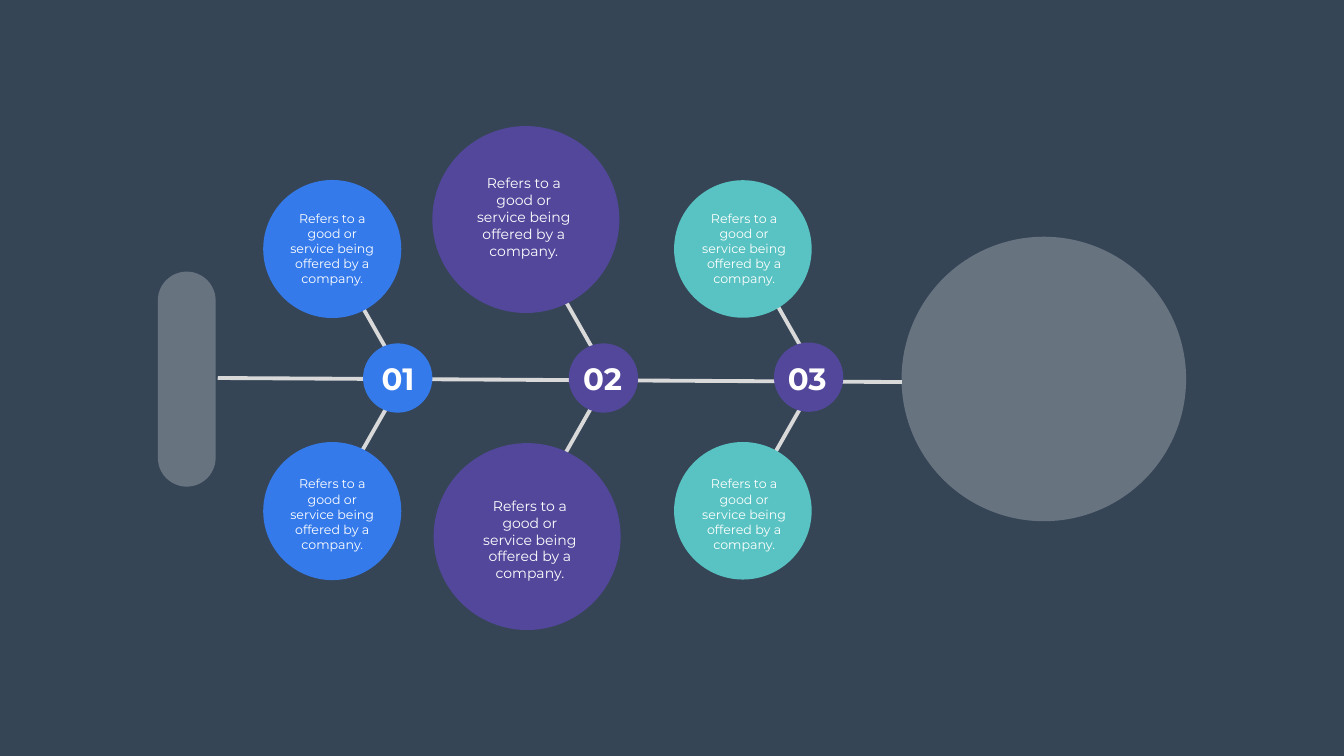
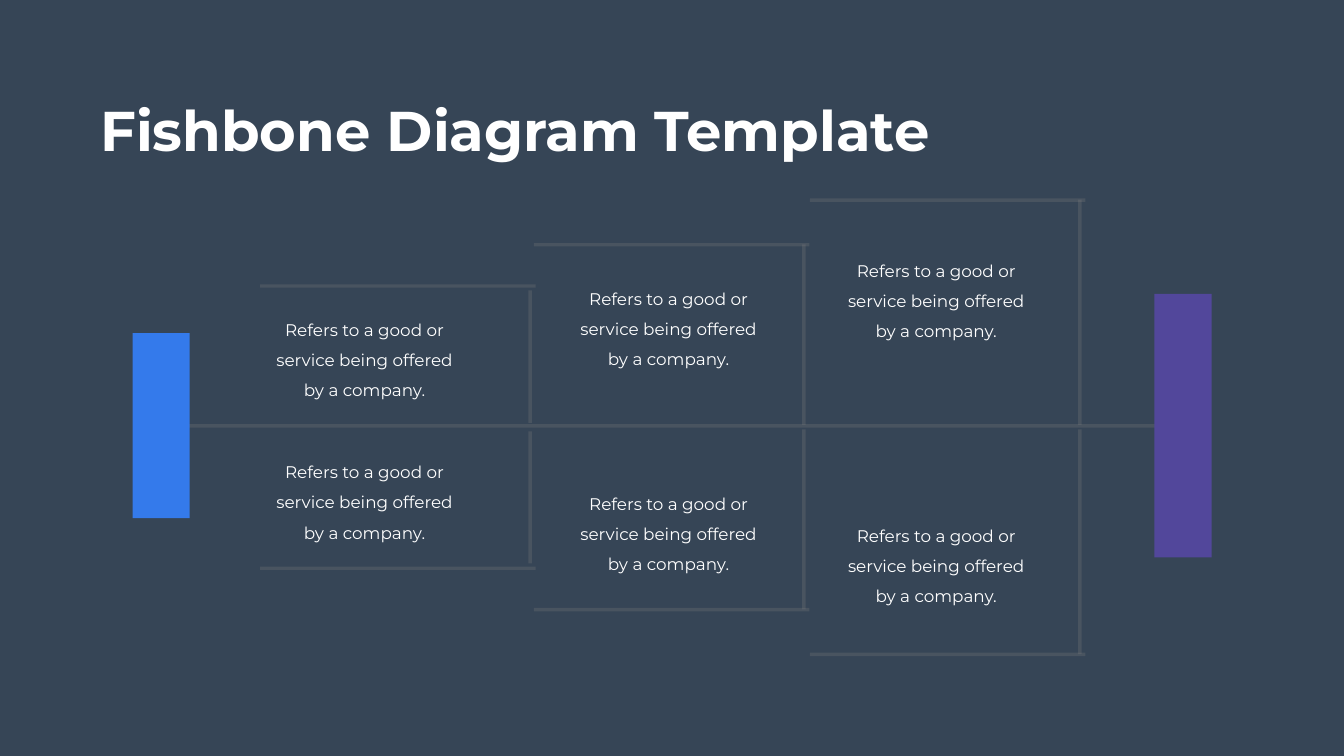
from lxml import etree
from pptx import Presentation
from pptx.dml.color import RGBColor
from pptx.enum.shapes import MSO_CONNECTOR, MSO_SHAPE
from pptx.enum.text import MSO_AUTO_SIZE, PP_ALIGN
from pptx.oxml.ns import qn
from pptx.util import Pt

OVAL, RECT, PILL = MSO_SHAPE.OVAL, MSO_SHAPE.RECTANGLE, MSO_SHAPE.ROUNDED_RECTANGLE
STRAIGHT = MSO_CONNECTOR.STRAIGHT
LEFT, CENTER = PP_ALIGN.LEFT, PP_ALIGN.CENTER
FIT = MSO_AUTO_SIZE.SHAPE_TO_FIT_TEXT

FONT = "Montserrat"
COLORS = {
    "back": "364556", "white": "FFFFFF", "bone": "D9D9D9", "grey": "808080",
    "blue": "347AEB", "purple": "52479B", "teal": "58C3C2",
}

# Content
TITLE = "Fishbone Diagram Template"
CAPTION = "Refers to a good or service being offered by a company."

# Fish with bubbles: bone is the left end and middle height of a chevron,
# node is a centre, bubbles are (centre x, centre y, caption left, caption top)
BONE_W, BONE_H, NODE_D = 129.4, 227.6, 99
LABEL_X, LABEL_STEP = 511.2, 292.3
RIBS = [
    {"label": "01", "bone": (446.4, 540.9), "node": (568, 540), "node_color": "blue",
     "color": "blue", "d": 197.2, "size": 18, "caption_h": 126,
     "bubbles": [(474.5, 355.7, 389.5, 292.3), (474.5, 730.1, 389.5, 671.8)]},
    {"label": "02", "bone": (740, 538.6), "node": (861.8, 540), "node_color": "purple",
     "color": "purple", "d": 267, "size": 20, "caption_h": 138.2,
     "bubbles": [(751, 313.6, 663.1, 241.2), (752.8, 766.5, 671.8, 702)]},
    {"label": "03", "bone": (1039, 538.6), "node": (1154.9, 538.8), "node_color": "purple",
     "color": "teal", "d": 196.5, "size": 18, "caption_h": 126,
     "bubbles": [(1061, 355.7, 977.8, 292.3), (1061, 729.7, 977.8, 671.8)]},
]

# Flags along an axis: each side is (y near axis, y of upright end,
# y of flag, caption top)
AXIS_Y, FLAG_W, FLAG_OVERHANG = 608.4, 393.4, 7.9
FLAGS = [
    {"x": 757.1, "caption_x": 371.5,
     "sides": [(604.1, 414.7, 408.6, 434.2), (616.3, 805, 811.8, 637.2)]},
    {"x": 1148, "caption_x": 805.7,
     "sides": [(607, 349.2, 349.6, 389.5), (613.4, 870.5, 870.8, 681.8)]},
    {"x": 1542.2, "caption_x": 1188,
     "sides": [(607, 285.1, 285.8, 349.2), (613.4, 934.6, 934.9, 727.9)]},
]


def rgb(name):
    return RGBColor.from_string(COLORS[name])


def set_alpha(fill_xml, percent):
    """Make the solid colour inside an element partly transparent."""
    color = next(fill_xml.iter(qn("a:srgbClr")))
    etree.SubElement(color, qn("a:alpha")).set("val", str(percent * 1000))


def add_slide(prs):
    s = prs.slides.add_slide(prs.slide_layouts[6])
    s.background.fill.solid()
    s.background.fill.fore_color.rgb = rgb("back")
    return s


def add_block(s, kind, x, y, w, h, color, alpha=None):
    sp = s.shapes.add_shape(kind, Pt(x), Pt(y), Pt(w), Pt(h))
    sp.shadow.inherit = False
    sp.fill.solid()
    sp.fill.fore_color.rgb = rgb(color)
    sp.line.fill.background()
    if alpha:
        set_alpha(sp._element.spPr, alpha)
    return sp


def add_circle(s, cx, cy, d, color, alpha=None):
    return add_block(s, OVAL, cx - d / 2, cy - d / 2, d, d, color, alpha)


def add_line(s, x1, y1, x2, y2, color, width, alpha=None):
    c = s.shapes.add_connector(STRAIGHT, Pt(x1), Pt(y1), Pt(x2), Pt(y2))
    c.line.color.rgb = rgb(color)
    c.line.width = Pt(width)
    etree.SubElement(c._element.spPr, qn("a:effectLst"))
    if alpha:
        set_alpha(c._element.spPr, alpha)


def add_chevron(s, x, y):
    """Draw a bone pair that meets at the spine."""
    builder = s.shapes.build_freeform(Pt(x), Pt(y - BONE_H))
    builder.add_line_segments(
        [(Pt(x + BONE_W), Pt(y)), (Pt(x), Pt(y + BONE_H))], close=False)
    sp = builder.convert_to_shape()
    sp.shadow.inherit = False
    sp.fill.background()
    sp.line.color.rgb = rgb("bone")
    sp.line.width = Pt(5.5)


def add_text(s, text, x, y, w, h, size, bold=False, align=CENTER,
             inset=(7.2, 3.6), spacing=None, wrap=True):
    tf = s.shapes.add_textbox(Pt(x), Pt(y), Pt(w), Pt(h)).text_frame
    tf.word_wrap = wrap
    tf.auto_size = FIT
    tf.margin_left = tf.margin_right = Pt(inset[0])
    tf.margin_top = tf.margin_bottom = Pt(inset[1])
    tf.text = text
    p = tf.paragraphs[0]
    p.alignment = align
    if spacing:
        p.line_spacing = Pt(spacing)
    font = p.runs[0].font
    font.name, font.size, font.bold = FONT, Pt(size), bold
    font.color.rgb = rgb("white")


def add_caption(s, x, y, w, h, size, spacing=None):
    add_text(s, CAPTION, x, y, w, h, size, inset=(17.3, 8.6), spacing=spacing)


def build_bubble_fish(prs):
    s = add_slide(prs)

    # Spine and bones
    add_line(s, 1288, 545.8, 311, 540, "bone", 5.5)
    for rib in reversed(RIBS):
        add_chevron(s, *rib["bone"])

    # Head and tail
    add_circle(s, 1490.8, 541.4, 406.4, "white", 25)
    tail = add_block(s, PILL, 225.4, 388, 82.6, 307.2, "white", 25)
    tail.adjustments[0] = 0.5

    # Bubbles with captions, and numbered nodes
    for i, rib in enumerate(RIBS):
        for cx, cy, x, y in rib["bubbles"]:
            add_circle(s, cx, cy, rib["d"], rib["color"])
            add_caption(s, x, y, 170, rib["caption_h"], rib["size"])
        add_circle(s, *rib["node"], NODE_D, rib["node_color"])
        add_text(s, rib["label"], LABEL_X + i * LABEL_STEP, 510.5, 114.5, 60.5,
                 44, bold=True)


def build_flag_fish(prs):
    s = add_slide(prs)
    stroke = ("grey", 4.9, 25)

    # Axis, uprights and flags
    add_line(s, 233.3, AXIS_Y, 1666.8, AXIS_Y, *stroke)
    for flag in FLAGS:
        x, right = flag["x"], flag["x"] + FLAG_OVERHANG
        for near, far, flag_y, _ in flag["sides"]:
            add_line(s, x, near, x, far, *stroke)
            add_line(s, right, flag_y, right - FLAG_W, flag_y, *stroke)

    # Head and tail
    add_block(s, RECT, 1648.8, 419.8, 81.6, 376.5, "purple")
    add_block(s, RECT, 189.4, 475.9, 81.6, 264.2, "blue")

    # Captions and title
    for flag in FLAGS:
        for *_, y in flag["sides"]:
            add_caption(s, flag["caption_x"], y, 298, 142.6, 24, spacing=43)
    add_text(s, TITLE, 136.1, 133.2, 1203.1, 104.4, 80, bold=True,
             align=LEFT, wrap=False)


def main():
    prs = Presentation()
    prs.slide_width, prs.slide_height = Pt(1919.5), Pt(1080)
    build_bubble_fish(prs)
    build_flag_fish(prs)
    prs.save("out.pptx")


if __name__ == "__main__":
    main()
